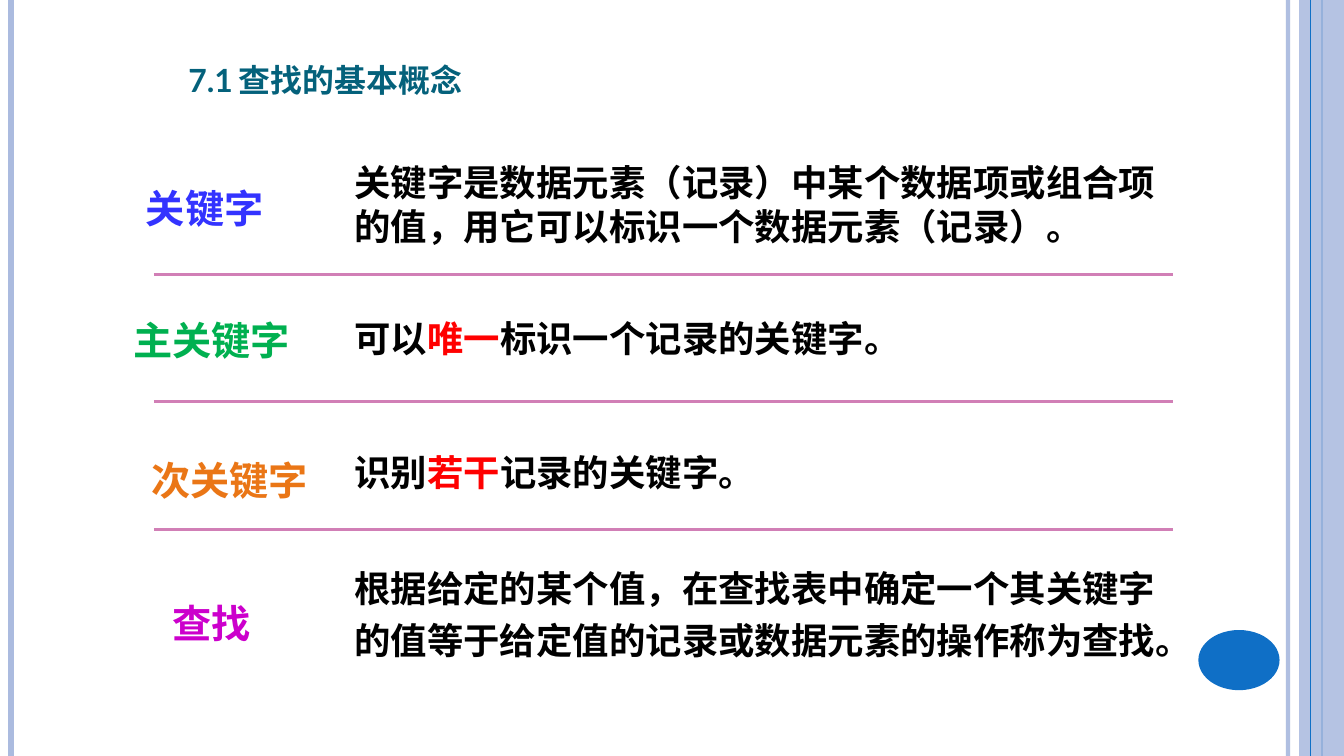
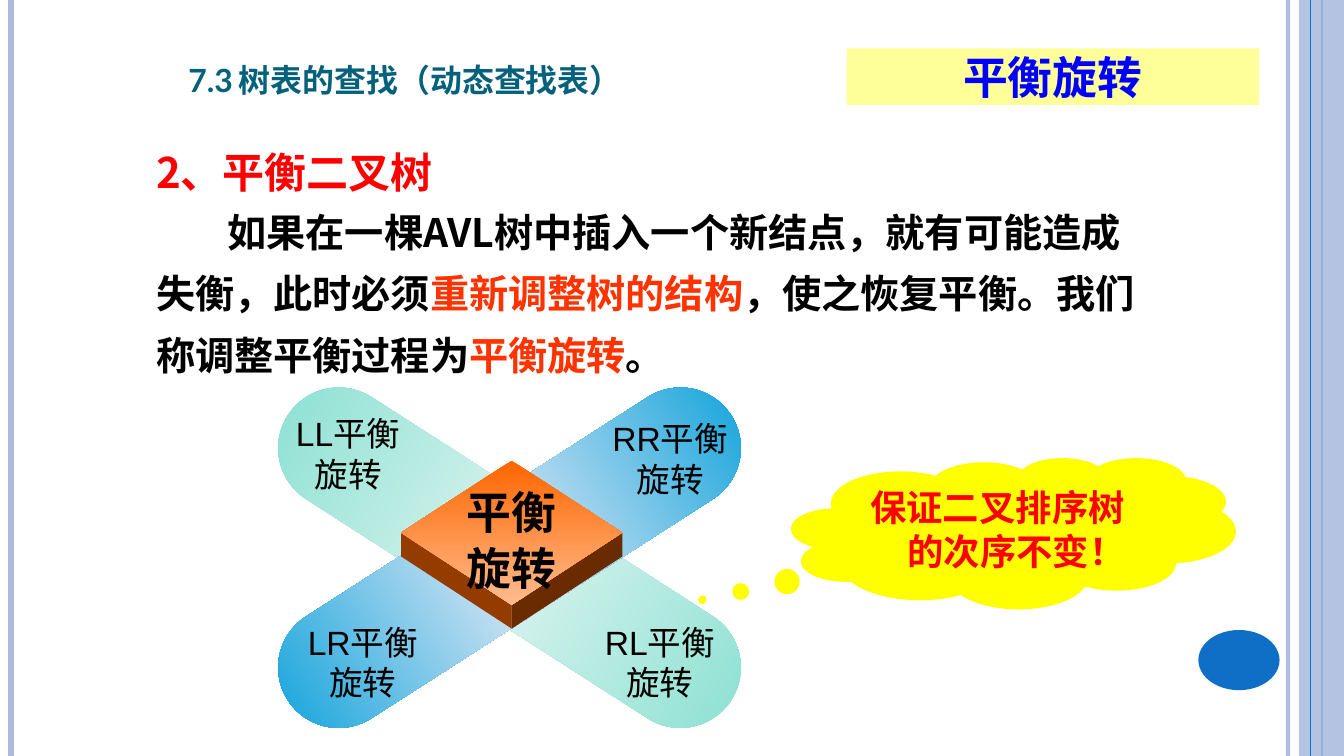
import dataclasses
import lxml.etree
import pptx
import pptx.dml.color
import pptx.enum.shapes
import pptx.enum.text
import pptx.oxml.ns
import pptx.util

Pt = pptx.util.Pt
Shape = pptx.enum.shapes.MSO_SHAPE
Align = pptx.enum.text.PP_ALIGN
Anchor = pptx.enum.text.MSO_ANCHOR


@dataclasses.dataclass(frozen=True)
class Theme:
    # Fonts
    sans: str = "Noto Sans CJK SC"
    serif: str = "Times New Roman"
    plain: str = "Arial"
    head: str = "Lato"
    # Type sizes
    small: int = 24
    body: int = 26
    label: int = 28
    title: float = 28.5
    topic: int = 30
    large: int = 32
    # Colours
    ink: str = "000000"
    navy: str = "04617B"
    band: str = "ABBBDF"
    blue: str = "0F6FC6"
    rule: str = "D17FB6"
    red: str = "FF0000"
    warm: str = "FF3300"
    royal: str = "0000FF"
    cream: str = "FFFF99"
    cloud: str = "FFFF00"
    labels: tuple = ("3333FF", "00B050", "EA7616", "CC00CC")
    mint: tuple = ("85DFD0", "D9F3EE", "85DFD0")
    sky: tuple = ("009DD9", "DBE7F4", "009DD9")
    flame: tuple = ("FF6600", "FFBC8F")
    sides: tuple = ("943B00", "6B2B00")


T = Theme()
WIDE, HIGH = 960, 540


def rgb(code):
    return pptx.dml.color.RGBColor.from_string(code)


def sub(node, tag, **values):
    """Add a child element with the given attributes."""
    child = lxml.etree.SubElement(node, pptx.oxml.ns.qn(tag))
    for key, value in values.items():
        child.set(key, str(value))
    return child


def fade(node, alpha):
    """Make the solid colour below a node partly clear."""
    tint = node.find(".//" + pptx.oxml.ns.qn("a:srgbClr"))
    sub(tint, "a:alpha", val=alpha * 1000)


# Text

def write(frame, paras, size, font, color=T.ink, bold=True, small=False,
          align=Align.LEFT, anchor=Anchor.TOP, lead=None, gap=0,
          margin=0, indent=0, tab=None):
    """Fill a frame; each paragraph is a list of texts or (text, colour)."""
    frame.word_wrap = True
    frame.vertical_anchor = anchor
    look = {"size": Pt(size), "name": font, "bold": bold}
    for i, parts in enumerate(paras):
        para = frame.add_paragraph() if i else frame.paragraphs[0]
        props = para._p.get_or_add_pPr()
        props.set("marL", str(Pt(margin)))
        props.set("indent", str(Pt(indent)))
        if tab:
            sub(sub(props, "a:tabLst"), "a:tab", pos=Pt(tab), algn="l")
        layout = {"alignment": align, "line_spacing": lead}
        if i and gap:
            layout["space_before"] = Pt(gap)
        for key, value in layout.items():
            setattr(para, key, value)
        for part in parts:
            words, tint = (part, color) if isinstance(part, str) else part
            run = para.add_run()
            run.text = words
            for key, value in look.items():
                setattr(run.font, key, value)
            run.font.color.rgb = rgb(tint)
            mark = run._r.get_or_add_rPr()
            sub(mark, "a:ea", typeface=T.sans)
            if small:
                mark.set("cap", "small")


def text(slide, box, paras, size, font, **style):
    area = slide.shapes.add_textbox(*map(Pt, box))
    write(area.text_frame, paras, size, font, **style)


def title(slide, words, width):
    text(slide, (127.5, 31, width, 44), [[words]], T.title, T.head,
         color=T.navy, small=True, anchor=Anchor.BOTTOM, tab=50)


# Shapes

def paint(shape, fill):
    shape.shadow.inherit = False
    shape.fill.solid()
    shape.fill.fore_color.rgb = rgb(fill)
    shape.line.fill.background()
    return shape


def block(slide, kind, box, fill):
    return paint(slide.shapes.add_shape(kind, *map(Pt, box)), fill)


def blend(shape, tints, angle):
    """Spread the tints evenly over a linear gradient."""
    shape.fill.gradient()
    shape.fill.gradient_angle = 360 - angle
    stops = shape._element.spPr.find(".//" + pptx.oxml.ns.qn("a:gsLst"))
    for stop in list(stops):
        stops.remove(stop)
    for i, tint in enumerate(tints):
        stop = sub(stops, "a:gs", pos=i * 100000 // (len(tints) - 1))
        sub(stop, "a:srgbClr", val=tint)


def line(slide, start, end, color, width, alpha=None):
    kind = pptx.enum.shapes.MSO_CONNECTOR.STRAIGHT
    bar = slide.shapes.add_connector(kind, *map(Pt, start + end))
    bar.line.color.rgb = rgb(color)
    bar.line.width = Pt(width)
    props = bar._element.spPr
    if alpha:
        fade(props, alpha)
    sub(props, "a:effectLst")


def facet(slide, points, fill):
    pen = slide.shapes.build_freeform(*map(Pt, points[0]))
    pen.add_line_segments([tuple(map(Pt, p)) for p in points[1:]])
    paint(pen.convert_to_shape(), fill)


# Slides

def start(deck):
    """Add a slide with the side bands and the round badge."""
    slide = deck.slides.add_slide(deck.slide_layouts[6])
    for x, color, width, alpha in ((920, T.band, 3, 93), (8, T.band, 4.5, None),
                                   (944, T.blue, 1.5, None)):
        line(slide, (x, 0), (x, HIGH), color, width, alpha)
    band = block(slide, Shape.RECTANGLE, (928, 0, WIDE - 928, HIGH), T.band)
    fade(band._element.spPr, 87)
    line(slide, (936, 0), (936, HIGH), T.blue, 0.75)
    block(slide, Shape.OVAL, (856, 450, 58, 43), T.blue)
    return slide


def terms(deck):
    slide = start(deck)
    title(slide, "7.1\t查找的基本概念", 321)
    # Label, its centre, top and spacing; then text, its top and spacing
    rows = (
        ("关键字", 146.2, 128, None,
         ["关键字是数据元素（记录）中某个数据项或组合项的值，用它可以标识一个数据元素（记录）。"],
         111, None),
        ("主关键字", 151.2, 222.5, None,
         ["可以", ("唯一", T.red), "标识一个记录的关键字。"], 222.5, None),
        ("次关键字", 163.8, 315.5, 1.2,
         ["识别", ("若干", T.red), "记录的关键字。"], 318, None),
        ("查找", 151, 417.5, 1.2,
         ["根据给定的某个值，在查找表中确定一个其关键字的值等于给定值的记录或数据元素的操作称为查找。"],
         394.5, 1.2),
    )
    for row, color in zip(rows, T.labels):
        name, mid, top, lead, parts, level, space = row
        text(slide, (mid - 70, top, 140, 44), [[name]], T.label, T.sans,
             color=color, align=Align.CENTER, lead=lead)
        text(slide, (246, level, 588.5, 70), [parts], T.body, T.serif,
             lead=space)
    for y in (196, 286.5, 378.5):
        line(slide, (110, y), (838, y), T.rule, 2.25)


def cross(slide):
    """Draw two crossed bars under a raised diamond, with their names."""
    for turn, tints in ((32.7, T.mint), (-32.7, T.sky)):
        bar = block(slide, Shape.ROUNDED_RECTANGLE,
                    (175.7, 355.2, 376.5, 86.4), tints[0])
        bar.adjustments[0] = 0.5
        bar.rotation = turn
        blend(bar, tints, 0)
    # Raised diamond
    left, top, width, height, depth = 286.5, 329, 158, 103, 17
    mid, level, base = left + width / 2, top + height / 2, top + height
    for x, fill in zip((left, left + width), T.sides):
        facet(slide, [(x, level), (mid, base), (mid, base + depth),
                      (x, level + depth)], fill)
    gem = block(slide, Shape.DIAMOND, (left, top, width, height), T.flame[0])
    blend(gem, T.flame, 90)
    text(slide, (299.5, 342.7, 132, 86), [["平衡"], ["旋转"]], T.large,
         T.plain, align=Align.CENTER, gap=1.6)
    # Names on the four arms
    arms = (((191.5, 291.6, 114.5, 65.5), ("LL平衡", "旋转")),
            ((419, 295.2, 119.5, 65.5), ("RR平衡", "旋转")),
            ((210.2, 440.6, 98, 65.5), ("LR平衡旋转",)),
            ((419.8, 440.6, 103, 65.5), ("RL平衡旋转",)))
    for box, names in arms:
        text(slide, box, [[name] for name in names], T.small, T.plain,
             bold=False, align=Align.CENTER)


def turns(deck):
    slide = start(deck)
    title(slide, "7.3\t树表的查找（动态查找表）", 454)
    text(slide, (104.4, 82.8, 772.5, 57), [["2、平衡二叉树"]], T.topic,
         T.sans, color=T.red, lead=1.5)
    tag = block(slide, Shape.RECTANGLE, (604.8, 34.5, 294.5, 40.5), T.cream)
    write(tag.text_frame, [["平衡旋转"]], T.large, T.sans, color=T.royal,
          align=Align.CENTER, anchor=Anchor.MIDDLE)
    text(slide, (104.4, 135.4, 721.5, 140),
         [["如果在一棵AVL树中插入一个新结点，就有可能造成失衡，此时必须",
           ("重新调整树的结构", T.warm), "，使之恢复平衡。我们称调整平衡过程为",
           ("平衡旋转", T.warm), "。"]],
         T.label, T.sans, lead=1.3, indent=51)
    cross(slide)
    # Thought cloud
    cloud = block(slide, Shape.CLOUD_CALLOUT, (565.2, 326.9, 317.5, 108),
                  T.cloud)
    for i, value in enumerate((-0.7, 0.44)):
        cloud.adjustments[i] = value
    write(cloud.text_frame, [["保证二叉排序树的次序不变！"]], T.body,
          T.plain, color=T.red, align=Align.CENTER, margin=27, indent=-27)


def main():
    deck = pptx.Presentation()
    deck.slide_width, deck.slide_height = Pt(WIDE), Pt(HIGH)
    terms(deck)
    turns(deck)
    deck.save("out.pptx")


if __name__ == "__main__":
    main()
